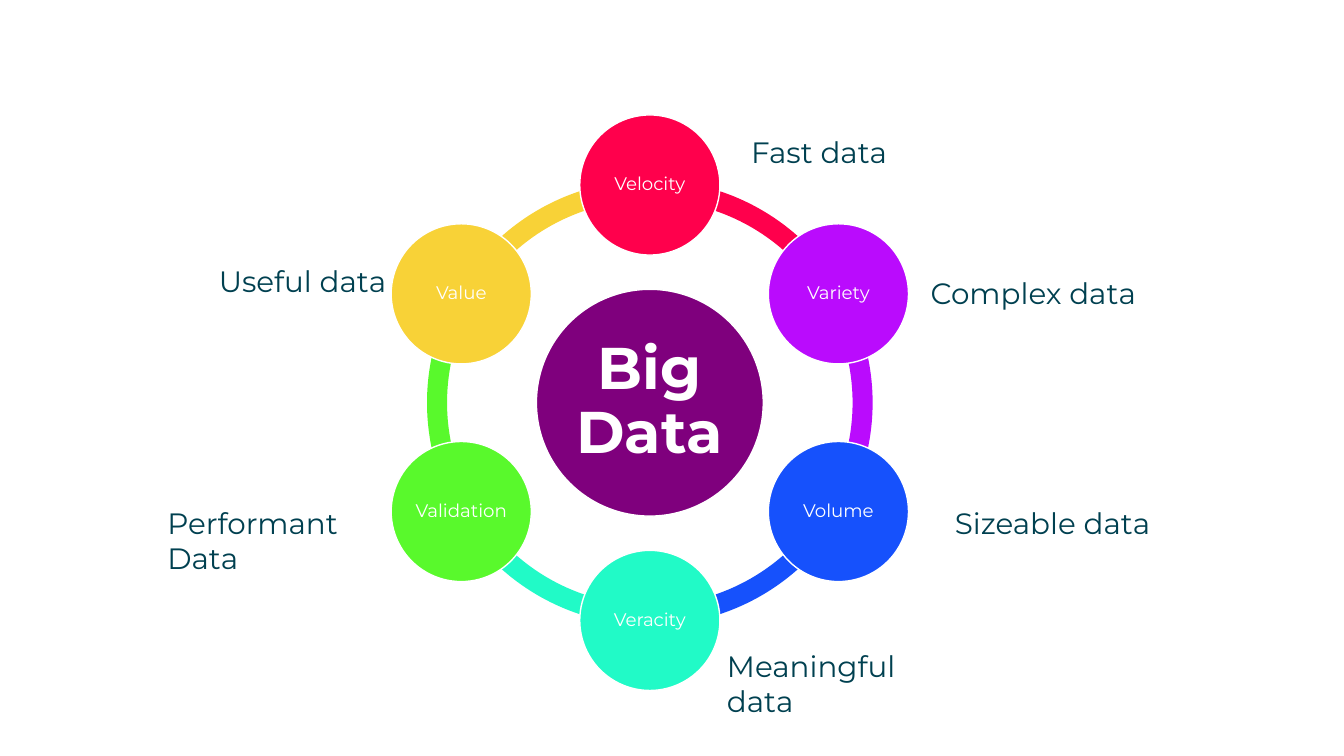
"""Build the Big Data wheel: six qualities around one hub, each with a callout."""
import math
from dataclasses import dataclass

from pptx import Presentation
from pptx.dml.color import RGBColor
from pptx.enum.shapes import MSO_SHAPE
from pptx.enum.text import MSO_ANCHOR, MSO_AUTO_SIZE, PP_ALIGN
from pptx.shapes.autoshape import Shape
from pptx.slide import Slide
from pptx.text.text import TextFrame
from pptx.util import Inches, Pt

OVAL, ARC = MSO_SHAPE.OVAL, MSO_SHAPE.BLOCK_ARC
MIDDLE, TOP = MSO_ANCHOR.MIDDLE, MSO_ANCHOR.TOP
CENTER, LEFT = PP_ALIGN.CENTER, PP_ALIGN.LEFT
GROW, FIXED = MSO_AUTO_SIZE.SHAPE_TO_FIT_TEXT, MSO_AUTO_SIZE.NONE

SLIDE_WIDTH, SLIDE_HEIGHT = Inches(13.33), Inches(7.5)
CELL = SLIDE_HEIGHT / 75

HUB_COLUMN, HUB_ROW = 64.45, 39.95
HUB_DIAMETER, QUALITY_DIAMETER, ARC_DIAMETER = 22.5, 13.9, 44.2
ORBIT_RADIUS = 21.6
ARC_THICKNESS = 0.045
FULL_TURN, TOP_ANGLE = 216, 162


@dataclass(frozen=True)
class Theme:
    """Colours, font and type sizes of the slide."""
    font: str = "Montserrat"
    hub: str = "7F007D"
    light: str = "FFFFFF"
    ink: str = "004050"
    hub_size: int = 42
    quality_size: int = 13
    callout_size: int = 21


@dataclass(frozen=True)
class Quality:
    """A quality of big data and its callout, placed in grid cells."""
    name: str
    color: str
    meaning: str
    column: float
    row: float
    columns: float
    rows: float


THEME = Theme()
QUALITIES = (
    Quality("Velocity", "FF004C", "Fast data", 73.2, 12.7, 55.8, 4.8),
    Quality("Variety", "BA0BFD", "Complex data", 91, 26.7, 26.2, 4.8),
    Quality("Volume", "1651FC", "Sizeable data", 93.4, 49.5, 29.3, 4.8),
    Quality("Veracity", "21FAC7", "Meaningful data", 70.8, 63.7, 26.2, 8.4),
    Quality("Validation", "59F92C", "Performant Data", 15.3, 49.5, 26.2, 8.4),
    Quality("Value", "F8D237", "Useful data", 20.4, 25.5, 26.2, 4.8),
)


def cells(count: float) -> int:
    """Turn a number of grid cells into a length."""
    return round(count * CELL)


def write(frame: TextFrame, text: str, *, size: int, color: str,
          bold: bool = False, align: PP_ALIGN = LEFT, anchor: MSO_ANCHOR = TOP,
          inset: tuple[float, float] = (0.13, 0.06), spacing: float = 1.0,
          fit: MSO_AUTO_SIZE = FIXED) -> None:
    """Put formatted text into a frame."""
    frame.word_wrap = True
    frame.auto_size = fit
    frame.vertical_anchor = anchor
    frame.margin_left = frame.margin_right = Inches(inset[0])
    frame.margin_top = frame.margin_bottom = Inches(inset[1])
    paragraph = frame.paragraphs[0]
    paragraph.alignment = align
    paragraph.line_spacing = spacing
    run = paragraph.add_run()
    run.text = text
    run.font.name = THEME.font
    run.font.size = Pt(size)
    run.font.bold = bold
    run.font.color.rgb = RGBColor.from_string(color)


def add_round(slide: Slide, kind: MSO_SHAPE, column: float, row: float,
              diameter: float, color: str) -> Shape:
    """Add a filled round shape centred on a grid point."""
    disc = slide.shapes.add_shape(
        kind, cells(column - diameter / 2), cells(row - diameter / 2),
        cells(diameter), cells(diameter))
    disc.shadow.inherit = False
    disc.fill.solid()
    disc.fill.fore_color.rgb = RGBColor.from_string(color)
    disc.line.fill.background()
    return disc


def add_circle(slide: Slide, column: float, row: float, diameter: float,
               color: str, label: str, size: int, inset: float,
               bold: bool = False) -> None:
    """Add an outlined circle with a centred label."""
    circle = add_round(slide, OVAL, column, row, diameter, color)
    circle.line.color.rgb = RGBColor.from_string(THEME.light)
    circle.line.width = Pt(1)
    write(circle.text_frame, label, size=size, color=THEME.light, bold=bold,
          align=CENTER, anchor=MIDDLE, inset=(inset, inset), spacing=0.9)


def add_arc(slide: Slide, position: int, color: str) -> None:
    """Add the arc that leads clockwise from one quality to the next."""
    step = FULL_TURN / len(QUALITIES)
    start = TOP_ANGLE + position * step
    arc = add_round(slide, ARC, HUB_COLUMN, HUB_ROW, ARC_DIAMETER, color)
    arc.adjustments[0] = start % FULL_TURN
    arc.adjustments[1] = (start + step) % FULL_TURN
    arc.adjustments[2] = ARC_THICKNESS


def add_quality(slide: Slide, position: int, quality: Quality) -> None:
    """Add the circle of a quality at its place on the orbit."""
    angle = math.tau * position / len(QUALITIES)
    add_circle(slide, HUB_COLUMN + ORBIT_RADIUS * math.sin(angle),
               HUB_ROW - ORBIT_RADIUS * math.cos(angle), QUALITY_DIAMETER,
               quality.color, quality.name, THEME.quality_size, 0.02)


def add_callout(slide: Slide, quality: Quality) -> None:
    """Add the text that explains a quality."""
    callout = slide.shapes.add_textbox(
        cells(quality.column), cells(quality.row),
        cells(quality.columns), cells(quality.rows))
    write(callout.text_frame, quality.meaning, size=THEME.callout_size,
          color=THEME.ink, fit=GROW)


def main() -> None:
    """Draw the wheel and save the presentation."""
    deck = Presentation()
    deck.slide_width, deck.slide_height = SLIDE_WIDTH, SLIDE_HEIGHT
    slide = deck.slides.add_slide(deck.slide_layouts.get_by_name("Blank"))
    for position, quality in reversed(list(enumerate(QUALITIES))):
        add_arc(slide, position, quality.color)
    add_circle(slide, HUB_COLUMN, HUB_ROW, HUB_DIAMETER, THEME.hub,
               "Big Data", THEME.hub_size, 0.06, bold=True)
    for position, quality in enumerate(QUALITIES):
        add_quality(slide, position, quality)
    for quality in QUALITIES:
        add_callout(slide, quality)
    deck.save("out.pptx")


if __name__ == "__main__":
    main()
